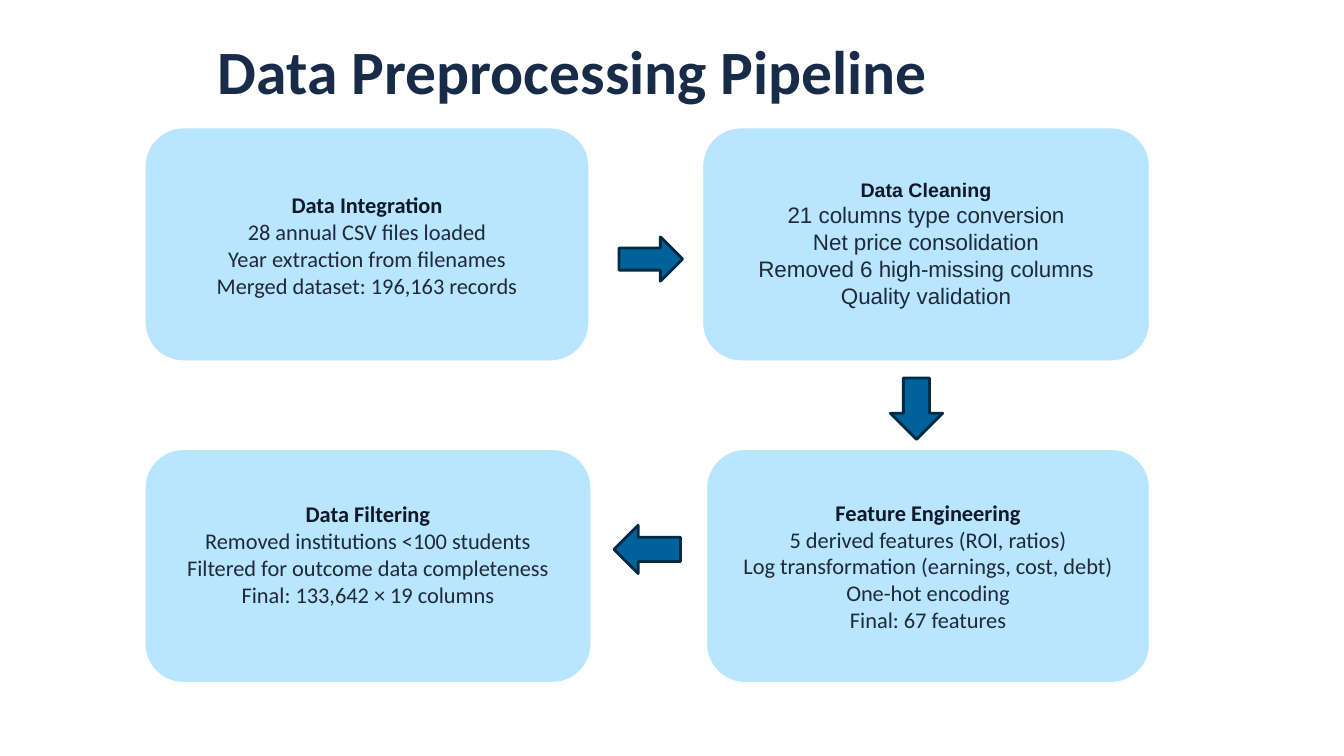
"""Build the Data Preprocessing Pipeline slide."""
from dataclasses import dataclass

import pptx
import pptx.dml.color
import pptx.enum.shapes
import pptx.enum.text
import pptx.util

Inches = pptx.util.Inches
Pt = pptx.util.Pt
RGBColor = pptx.dml.color.RGBColor
Shape = pptx.enum.shapes.MSO_SHAPE
Align = pptx.enum.text.PP_ALIGN
Anchor = pptx.enum.text.MSO_ANCHOR

NAVY = RGBColor(0x18, 0x2B, 0x48)
INK = RGBColor(0x11, 0x18, 0x27)
SLATE = RGBColor(0x1F, 0x29, 0x37)
SKY = RGBColor(0xB8, 0xE5, 0xFF)
WHITE = RGBColor(0xFF, 0xFF, 0xFF)
BLUE = RGBColor(0x00, 0x62, 0x9B)
DEEP_BLUE = RGBColor(0x00, 0x2B, 0x44)

LEFT, TOP_ROW, BOTTOM_ROW, STEP_HEIGHT = 1.43, 1.26, 4.45, 2.33
INSET = 0.05


@dataclass(frozen=True)
class Step:
    x: float
    y: float
    width: float
    heading: str
    lines: tuple[str, ...]
    font: str = "Calibri"
    heading_size: int = 16
    lift: float = 0


@dataclass(frozen=True)
class Arrow:
    kind: Shape
    x: float
    y: float
    width: float
    height: float


STEPS = (
    Step(LEFT, TOP_ROW, 4.42, "Data Integration",
         ("28 annual CSV files loaded", "Year extraction from filenames",
          "Merged dataset: 196,163 records"), lift=-0.01),
    Step(6.96, TOP_ROW, 4.45, "Data Cleaning",
         ("21 columns type conversion", "Net price consolidation",
          "Removed 6 high-missing columns", "Quality validation"),
         font="Arial", heading_size=14, lift=0.01),
    Step(7, BOTTOM_ROW, 4.41, "Feature Engineering",
         ("5 derived features (ROI, ratios)",
          "Log transformation (earnings, cost, debt)",
          "One-hot encoding", "Final: 67 features")),
    Step(LEFT, BOTTOM_ROW, 4.44, "Data Filtering",
         ("Removed institutions <100 students",
          "Filtered for outcome data completeness",
          "Final: 133,642 × 19 columns"), lift=0.12),
)

ARROWS = (
    Arrow(Shape.RIGHT_ARROW, 6.14, 2.35, 0.63, 0.44),
    Arrow(Shape.DOWN_ARROW, 8.83, 3.75, 0.52, 0.61),
    Arrow(Shape.LEFT_ARROW, 6.09, 5.21, 0.66, 0.48),
)


def write(p, text: str, *, font: str, size: int, color: RGBColor,
          bold: bool = False, align: Align = Align.CENTER) -> None:
    p.alignment = align
    r = p.add_run()
    r.text = text
    r.font.name = font
    r.font.size = Pt(size)
    r.font.bold = bold
    r.font.color.rgb = color


def add_box(s, kind: Shape, x: float, y: float, width: float, height: float,
            fill: RGBColor, line: RGBColor):
    sp = s.shapes.add_shape(kind, Inches(x), Inches(y), Inches(width), Inches(height))
    sp.shadow.inherit = False
    sp.fill.solid()
    sp.fill.fore_color.rgb = fill
    sp.line.color.rgb = line
    sp.line.width = Pt(2)
    return sp


def add_title(s, text: str) -> None:
    sp = s.shapes.title
    sp.left, sp.top = Inches(0.67), Inches(0.47)
    sp.width, sp.height = Inches(9.3), Inches(0.96)
    tf = sp.text_frame
    tf.margin_left = Inches(1.49)
    tf.margin_top = tf.margin_right = tf.margin_bottom = 0
    tf.vertical_anchor = Anchor.TOP
    tf.auto_size = pptx.enum.text.MSO_AUTO_SIZE.NONE
    p = tf.paragraphs[0]
    p.line_spacing = 0.8
    write(p, text, font="Calibri", size=44, color=NAVY, bold=True, align=Align.LEFT)


def add_step(s, step: Step) -> None:
    sp = add_box(s, Shape.ROUNDED_RECTANGLE, step.x, step.y, step.width,
                 STEP_HEIGHT, SKY, WHITE)
    tf = sp.text_frame
    tf.word_wrap = True
    tf.vertical_anchor = Anchor.MIDDLE
    tf.margin_top = Inches(INSET)
    tf.margin_bottom = Inches(INSET + 2 * step.lift)
    write(tf.paragraphs[0], step.heading, font=step.font,
          size=step.heading_size, color=INK, bold=True)
    for line in step.lines:
        write(tf.add_paragraph(), line, font=step.font, size=16, color=SLATE)


def main() -> None:
    prs = pptx.Presentation()
    prs.slide_width, prs.slide_height = Inches(13.33), Inches(7.5)
    s = prs.slides.add_slide(prs.slide_layouts[5])
    add_title(s, "Data Preprocessing Pipeline")
    for step in STEPS:
        add_step(s, step)
    for arrow in ARROWS:
        add_box(s, arrow.kind, arrow.x, arrow.y, arrow.width, arrow.height,
                BLUE, DEEP_BLUE)
    prs.save("out.pptx")


if __name__ == "__main__":
    main()
